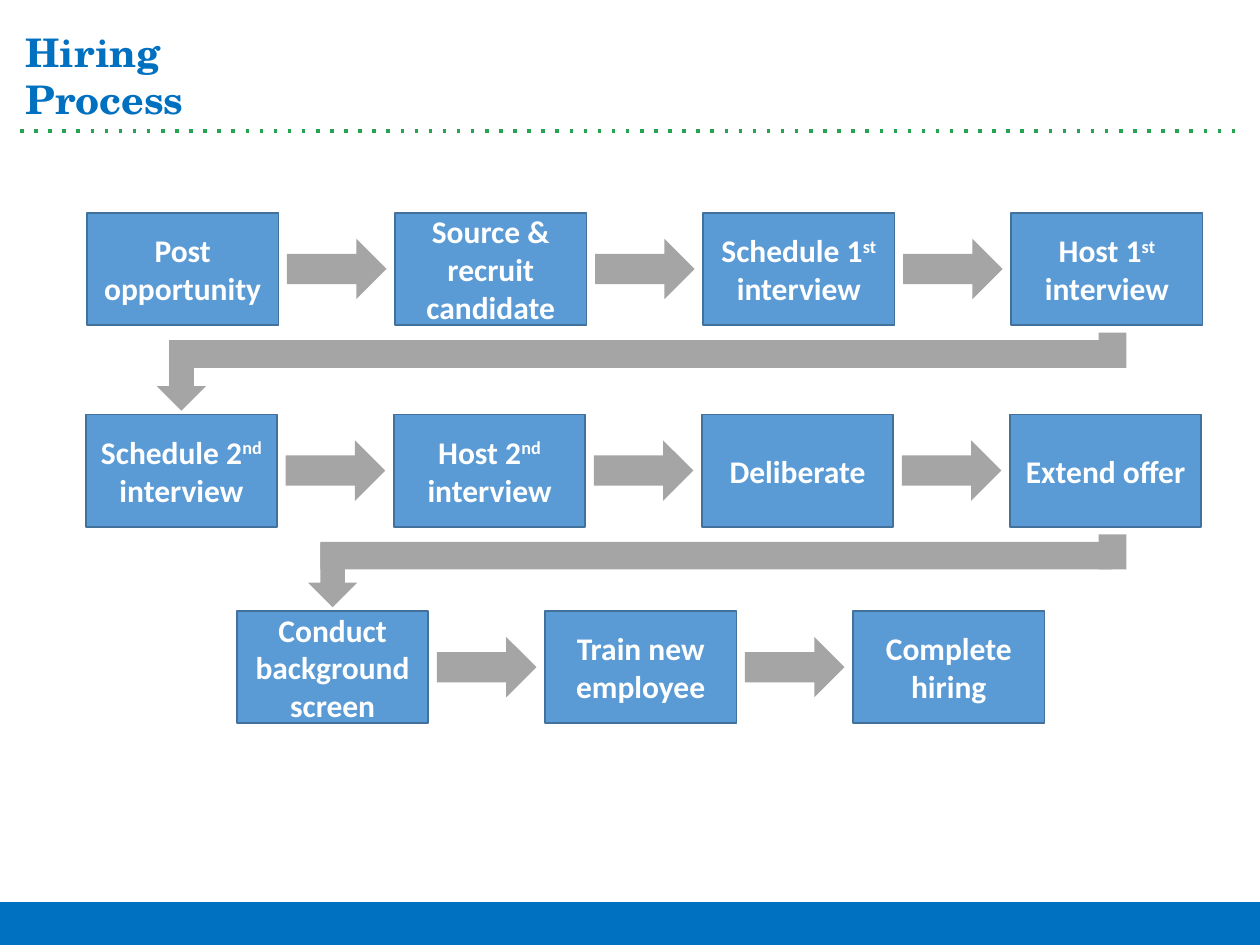
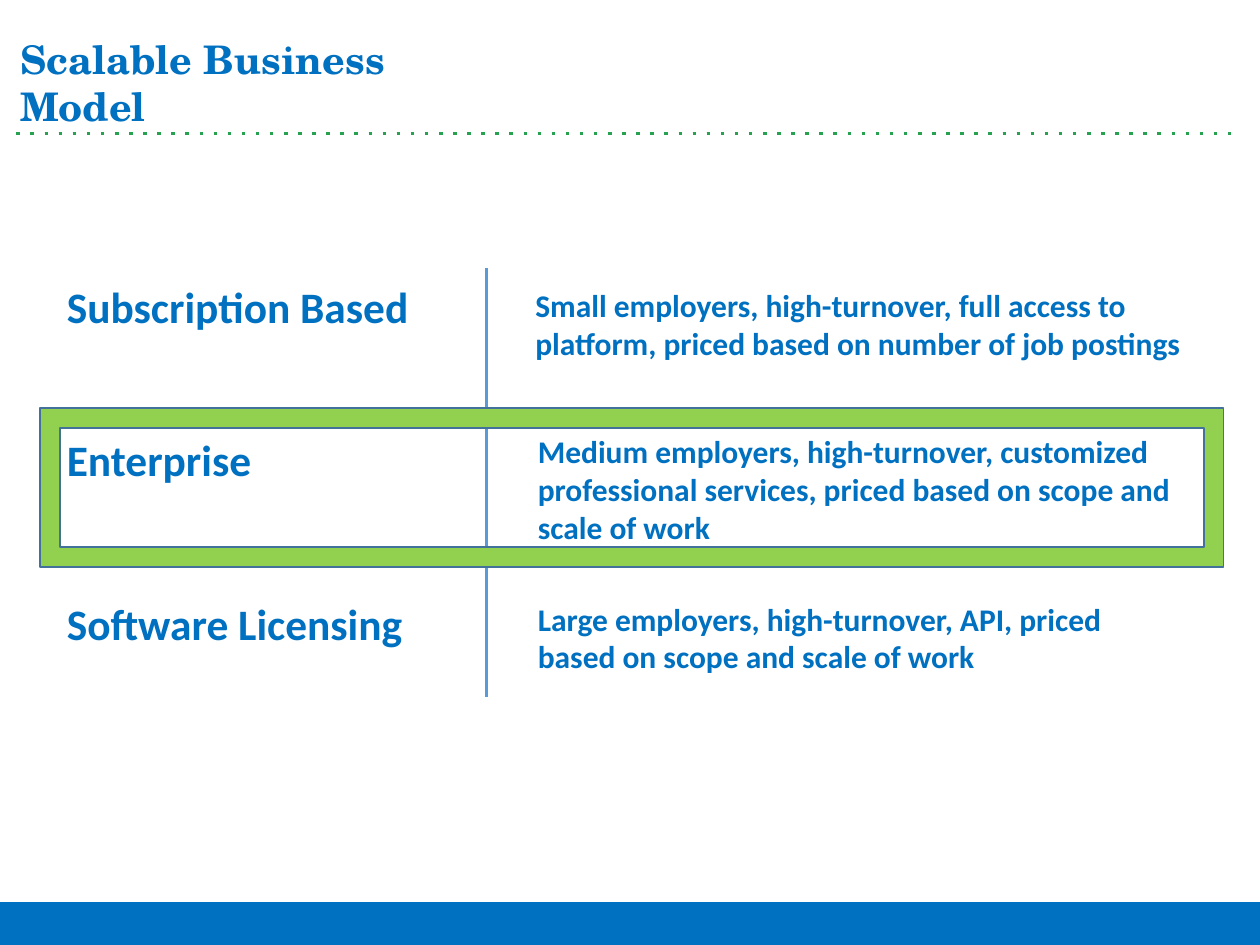
from dataclasses import dataclass

from lxml.etree import SubElement
from pptx import Presentation
from pptx.dml.color import RGBColor
from pptx.enum.dml import MSO_LINE
from pptx.enum.shapes import MSO_CONNECTOR, MSO_SHAPE
from pptx.enum.text import MSO_ANCHOR, MSO_AUTO_SIZE, PP_ALIGN
from pptx.oxml.ns import qn
from pptx.util import Inches, Pt

# Content: odd spans of a step are superscript
HIRING_TITLE = "Hiring Process"
HIRING_ROWS = [
    {"left": 0.69, "top": 1.69, "steps": [
        ("Post opportunity",),
        ("Source & recruit candidate",),
        ("Schedule 1", "st", " interview"),
        ("Host 1", "st", " interview")]},
    {"left": 0.68, "top": 3.29, "steps": [
        ("Schedule 2", "nd", " interview"),
        ("Host 2", "nd", " interview"),
        ("Deliberate",),
        ("Extend offer",)]},
    {"left": 1.88, "top": 4.85, "steps": [
        ("Conduct background screen",),
        ("Train new employee",),
        ("Complete hiring",)]},
]

MODEL_TITLE = "Scalable Business Model"
# Name, top of name, description paragraphs, place of description
MODELS = [
    ("Subscription Based", 2.18,
     ["Small employers, high-turnover, full access to",
      "platform, priced based on number of job postings"],
     (4.15, 2.22, 5.68, 0.71)),
    ("Enterprise", 3.4,
     ["Medium employers, high-turnover, customized professional services, "
      "priced based on scope and scale of work"],
     (4.17, 3.38, 5.36, 1.01)),
    ("Software Licensing", 4.7,
     ["Large employers, high-turnover, API, priced based on scope and "
      "scale of work"],
     (4.17, 4.71, 4.85, 0.71)),
]


@dataclass(frozen=True)
class Theme:
    blue: str = "0070C0"
    step: str = "5B9BD5"
    outline: str = "42719B"
    arrow: str = "A5A5A5"
    dots: str = "27A251"
    highlight: str = "92D050"
    white: str = "FFFFFF"
    title_font: str = "TeX Gyre Schola"
    body_font: str = "Calibri"
    title_size: float = 22.5
    name_size: float = 24.8
    body_size: float = 18


THEME = Theme()
WIDTH, HEIGHT = 10, 7.5
BAND_HEIGHT = 0.34

# Flow chart measures
STEP_WIDTH, STEP_HEIGHT, STEP_PITCH = 1.52, 0.89, 2.445
ARROW_WIDTH, ARROW_HEIGHT = 0.79, 0.48
TURN_LENGTH, TURN_WIDTH = 0.51, 0.39
BAR = 0.22
STUB_LEFT, STUB_HEIGHT = 8.72, 0.28


def color(value):
    return RGBColor.from_string(value)


def write(frame, paragraphs, size, ink, font=THEME.body_font,
          align=PP_ALIGN.LEFT, anchor=MSO_ANCHOR.TOP, inset=(0.1, 0.05)):
    """Fill a text frame; each paragraph is a sequence of spans."""
    horizontal, vertical = (Inches(value) for value in inset)
    frame_format = {
        "word_wrap": True, "auto_size": MSO_AUTO_SIZE.NONE,
        "vertical_anchor": anchor,
        "margin_left": horizontal, "margin_right": horizontal,
        "margin_top": vertical, "margin_bottom": vertical,
    }
    for name, value in frame_format.items():
        setattr(frame, name, value)
    for number, spans in enumerate(paragraphs):
        para = frame.add_paragraph() if number else frame.paragraphs[0]
        para.alignment = align
        for index, text in enumerate(spans):
            span = para.add_run()
            span.text = text
            font_format = {"name": font, "size": Pt(size), "bold": True}
            for name, value in font_format.items():
                setattr(span.font, name, value)
            span.font.color.rgb = color(ink)
            if index % 2:
                span.font._element.set("baseline", "30000")


def add_text(page, place, paragraphs, size, inset=(0.1, 0.05)):
    box = page.shapes.add_textbox(*map(Inches, place))
    write(box.text_frame, [(text,) for text in paragraphs], size,
          THEME.blue, inset=inset)


def add_block(page, kind, place, fill, outline=None):
    box = page.shapes.add_shape(kind, *map(Inches, place))
    box.shadow.inherit = False
    box.fill.solid()
    box.fill.fore_color.rgb = color(fill)
    if outline:
        box.line.color.rgb = color(outline)
        box.line.width = Pt(1)
    else:
        box.line.fill.background()
    return box


def add_line(page, start, end, ink, dotted=False):
    line = page.shapes.add_connector(
        MSO_CONNECTOR.STRAIGHT, *map(Inches, start + end))
    line.line.color.rgb = color(ink)
    line.line.width = Pt(2)
    if dotted:
        line.line.dash_style = MSO_LINE.ROUND_DOT
        for dash in line._element.iter(qn("a:prstDash")):
            dash.set("val", "dot")
    SubElement(line._element.spPr, qn("a:effectLst"))


def add_page(deck, title, place, inset, rule):
    """Start a page with its title, dotted rule and footer band."""
    page = deck.slides.add_slide(deck.slide_layouts[5])
    heading = page.shapes.title
    heading.left, heading.top, heading.width, heading.height = map(Inches, place)
    write(heading.text_frame, [(title,)], THEME.title_size, THEME.blue,
          font=THEME.title_font, inset=inset)
    left, right, top = rule
    add_line(page, (left, top), (right, top), THEME.dots, dotted=True)
    add_block(page, MSO_SHAPE.RECTANGLE,
              (0, HEIGHT - BAND_HEIGHT, WIDTH, BAND_HEIGHT), THEME.blue)
    return page


def add_step_row(page, left, top, steps):
    gap = (STEP_PITCH - STEP_WIDTH - ARROW_WIDTH) / 2
    for column, spans in enumerate(steps):
        step_left = left + column * STEP_PITCH
        box = add_block(page, MSO_SHAPE.RECTANGLE,
                        (step_left, top, STEP_WIDTH, STEP_HEIGHT),
                        THEME.step, THEME.outline)
        write(box.text_frame, [spans], THEME.body_size, THEME.white,
              align=PP_ALIGN.CENTER, anchor=MSO_ANCHOR.MIDDLE)
        if column < len(steps) - 1:
            add_block(page, MSO_SHAPE.RIGHT_ARROW,
                      (step_left + STEP_WIDTH + gap,
                       top + (STEP_HEIGHT - ARROW_HEIGHT) / 2,
                       ARROW_WIDTH, ARROW_HEIGHT), THEME.arrow)


def add_return(page, row, following):
    """Lead from the end of one row to the first step of the following."""
    bottom = row["top"] + STEP_HEIGHT
    center = following["left"] + STEP_WIDTH / 2
    middle = following["top"] - 0.03 - TURN_LENGTH / 2
    turn = add_block(page, MSO_SHAPE.RIGHT_ARROW,
                     (center - TURN_LENGTH / 2, middle - TURN_WIDTH / 2,
                      TURN_LENGTH, TURN_WIDTH), THEME.arrow)
    turn.rotation = 90
    bar_left = center - TURN_WIDTH / 4
    stub_top = bottom + 0.06
    bar_top = stub_top + STUB_HEIGHT - BAR
    for place in ((bar_left, bar_top, STUB_LEFT + BAR / 2 - bar_left, BAR),
                  (STUB_LEFT, stub_top, BAR, STUB_HEIGHT)):
        add_block(page, MSO_SHAPE.RECTANGLE, place, THEME.arrow)


def build_hiring(deck):
    page = add_page(deck, HIRING_TITLE, (0.16, 0.17, 2.3, 0.48),
                    (0.04, 0.05), (0.16, 9.83, 1.04))
    for row in HIRING_ROWS:
        add_step_row(page, **row)
    for row, following in zip(HIRING_ROWS, HIRING_ROWS[1:]):
        add_return(page, row, following)


def build_models(deck):
    page = add_page(deck, MODEL_TITLE, (0.16, 0.28, 3.37, 0.38),
                    (0, 0), (0.13, 9.81, 1.06))
    add_line(page, (3.86, 2.13), (3.86, 5.53), THEME.step)
    for name, top, description, place in MODELS:
        add_text(page, (0.49, top, 4.85, 0.49), [name], THEME.name_size,
                 inset=(0.04, 0.04))
        add_text(page, place, description, THEME.body_size)
    # Highlight around the middle model
    add_block(page, MSO_SHAPE.FRAME, (0.32, 3.24, 9.39, 1.26),
              THEME.highlight, THEME.outline)


def main():
    deck = Presentation()
    deck.slide_width, deck.slide_height = Inches(WIDTH), Inches(HEIGHT)
    build_hiring(deck)
    build_models(deck)
    deck.save("out.pptx")


if __name__ == "__main__":
    main()
